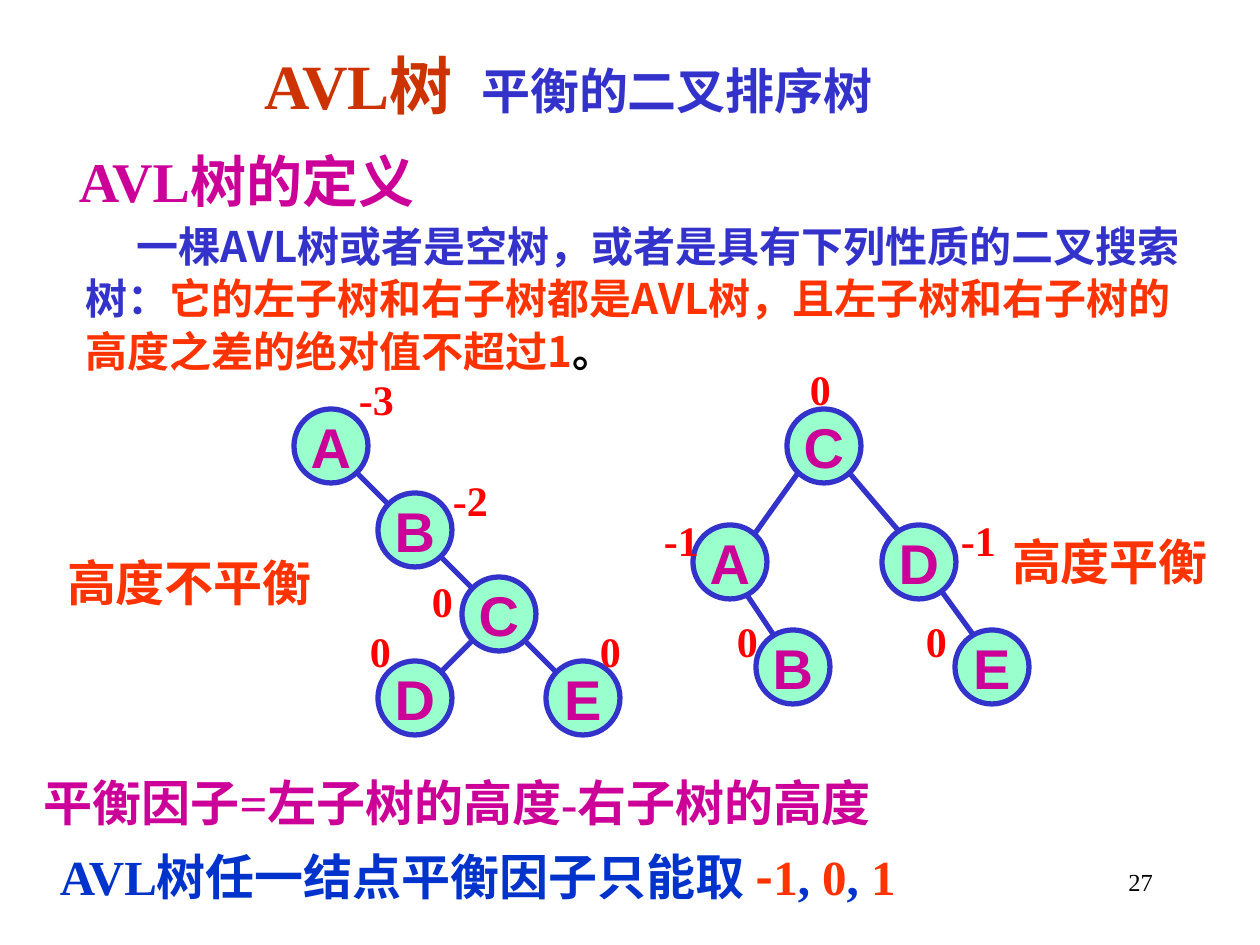
from dataclasses import dataclass

import pptx
import pptx.dml.color
import pptx.enum.shapes
import pptx.enum.text
import pptx.oxml
import pptx.oxml.ns
import pptx.util


@dataclass(frozen=True)
class Theme:
    brick: str = "CC3300"
    blue: str = "3333CC"
    deep_blue: str = "0033CC"
    magenta: str = "CC0099"
    orange: str = "FF3300"
    red: str = "FF0000"
    black: str = "000000"
    mint: str = "99FFCC"
    serif: str = "Times New Roman"
    sans: str = "Arial"
    cjk: str = "Noto Sans CJK SC"
    title: int = 36
    head: int = 32
    large: int = 28
    body: int = 24
    small: int = 14


T = Theme()
NODE = 74
ALIGN = pptx.enum.text.PP_ALIGN
ANCHOR = pptx.enum.text.MSO_ANCHOR


def px(n):
    return pptx.util.Emu(round(n * 914400 / 126))


def rgb(code):
    return pptx.dml.color.RGBColor.from_string(code)


def apply(obj, **values):
    for name, value in values.items():
        setattr(obj, name, value)


def add_run(p, text, size, color, face=T.serif, bold=True, spacing=0):
    r = p.add_run()
    r.text = text
    apply(r.font, size=pptx.util.Pt(size), bold=bold, name=face)
    r.font.color.rgb = rgb(color)
    rPr = r._r.get_or_add_rPr()
    if spacing:
        rPr.set("spc", str(spacing * 100))
    ea = pptx.oxml.parse_xml(
        f'<a:ea {pptx.oxml.ns.nsdecls("a")} typeface="{T.cjk}"/>')
    rPr.find(pptx.oxml.ns.qn("a:latin")).addnext(ea)


def add_text(shapes, box, runs, wrap=False, anchor=ANCHOR.TOP, **para):
    s = shapes.add_textbox(*map(px, box))
    tf = s.text_frame
    apply(tf, word_wrap=wrap, vertical_anchor=anchor,
          margin_left=0, margin_right=0, margin_top=0, margin_bottom=0)
    p = tf.paragraphs[0]
    apply(p, **para)
    for run in runs:
        add_run(p, *run)
    return p


def add_edge(shapes, x1, y1, x2, y2):
    s = shapes.add_connector(
        pptx.enum.shapes.MSO_CONNECTOR.STRAIGHT, *map(px, (x1, y1, x2, y2)))
    s.line.color.rgb = rgb(T.blue)
    s.line.width = pptx.util.Pt(3)
    s._element.spPr.append(pptx.oxml.parse_xml(
        f'<a:effectLst {pptx.oxml.ns.nsdecls("a")}/>'))


def add_node(shapes, name, x, y):
    s = shapes.add_shape(
        pptx.enum.shapes.MSO_SHAPE.OVAL, *map(px, (x, y, NODE, NODE)))
    s.shadow.inherit = False
    s.fill.solid()
    s.fill.fore_color.rgb = rgb(T.mint)
    s.line.color.rgb = rgb(T.blue)
    s.line.width = pptx.util.Pt(3)
    tf = s.text_frame
    apply(tf, word_wrap=False, vertical_anchor=ANCHOR.MIDDLE)
    p = tf.paragraphs[0]
    p.alignment = ALIGN.CENTER
    add_run(p, name, T.head, T.magenta, T.sans)


def add_tree(slide, edges, nodes, factors):
    group = slide.shapes.add_group_shape()
    for edge in edges:
        add_edge(group.shapes, *edge)
    for node in nodes:
        add_node(group.shapes, *node)
    for text, x, y in factors:
        add_text(slide.shapes, (x, y, 40, 50), [(text, T.body, T.red)])


def add_unbalanced_tree(slide):
    step = 84
    edges = [(336 + i * step, 452 + i * step, 399 + i * step, 515 + i * step)
             for i in range(3)]
    edges.append((483, 630, 420, 693))
    places = [("A", 0, 0), ("B", 1, 1), ("C", 2, 2), ("D", 1, 3), ("E", 3, 3)]
    nodes = [(name, 294 + col * step, 409 + row * step)
             for name, col, row in places]
    factors = [("-3", 359, 374), ("-2", 453, 475), ("0", 432, 576),
               ("0", 370, 626), ("0", 600, 626)]
    add_tree(slide, edges, nodes, factors)


def add_balanced_tree(slide):
    edges = [(735, 577, 777, 640), (924, 567, 977, 640),
             (840, 462, 903, 536), (798, 473, 746, 546)]
    nodes = [("A", 693, 525), ("B", 756, 630), ("C", 787, 409),
             ("D", 882, 525), ("E", 955, 630)]
    factors = [("0", 810, 364), ("-1", 664, 515), ("-1", 961, 515),
               ("0", 737, 616), ("0", 926, 616)]
    add_tree(slide, edges, nodes, factors)


def add_definition(shapes):
    add_text(shapes, (265, 53, 888, 63),
             [("AVL树", T.title, T.brick),
              (" ", T.title, T.brick, T.serif, True, 8),
              ("平衡的二叉排序树", T.large, T.blue)], True, ANCHOR.MIDDLE)
    add_text(shapes, (79, 147, 380, 68),
             [("AVL树的定义", T.head, T.magenta)])
    p = add_text(
        shapes, (86, 218, 1119, 160),
        [("一棵AVL树或者是空树，或者是具有下列性质的二叉搜索树：",
          T.body, T.blue, T.cjk),
         ("它的左子树和右子树都是AVL树，且左子树和右子树的高度之差的绝对值不超过1",
          T.body, T.orange, T.cjk),
         ("。", T.body, T.black, T.cjk)],
        True, line_spacing=pptx.util.Pt(30))
    p._p.get_or_add_pPr().set("indent", str(px(51)))


def add_conclusion(shapes):
    add_text(shapes, (44, 773, 960, 60),
             [("平衡因子=左子树的高度-右子树的高度", T.large, T.magenta)])
    add_text(shapes, (60, 847, 960, 60),
             [("AVL树任一结点平衡因子只能取 ", T.large, T.deep_blue),
              ("-", T.large, T.orange, T.cjk),
              ("1", T.large, T.orange),
              (", ", T.large, T.deep_blue),
              ("0", T.large, T.orange),
              (", ", T.large, T.deep_blue),
              ("1", T.large, T.orange)])


def main():
    prs = pptx.Presentation()
    apply(prs, slide_width=px(1260), slide_height=px(945))
    slide = prs.slides.add_slide(prs.slide_layouts[6])
    add_definition(slide.shapes)
    add_unbalanced_tree(slide)
    add_balanced_tree(slide)
    for text, x, y in [("高度不平衡", 67, 553), ("高度平衡", 1012, 532)]:
        add_text(slide.shapes, (x, y, 248, 60),
                 [(text, T.large, T.orange, T.cjk)])
    add_conclusion(slide.shapes)
    add_text(slide.shapes, (916, 867, 237, 50),
             [("27", T.small, T.black, T.serif, False)],
             True, alignment=ALIGN.RIGHT)
    prs.save("out.pptx")


if __name__ == "__main__":
    main()
